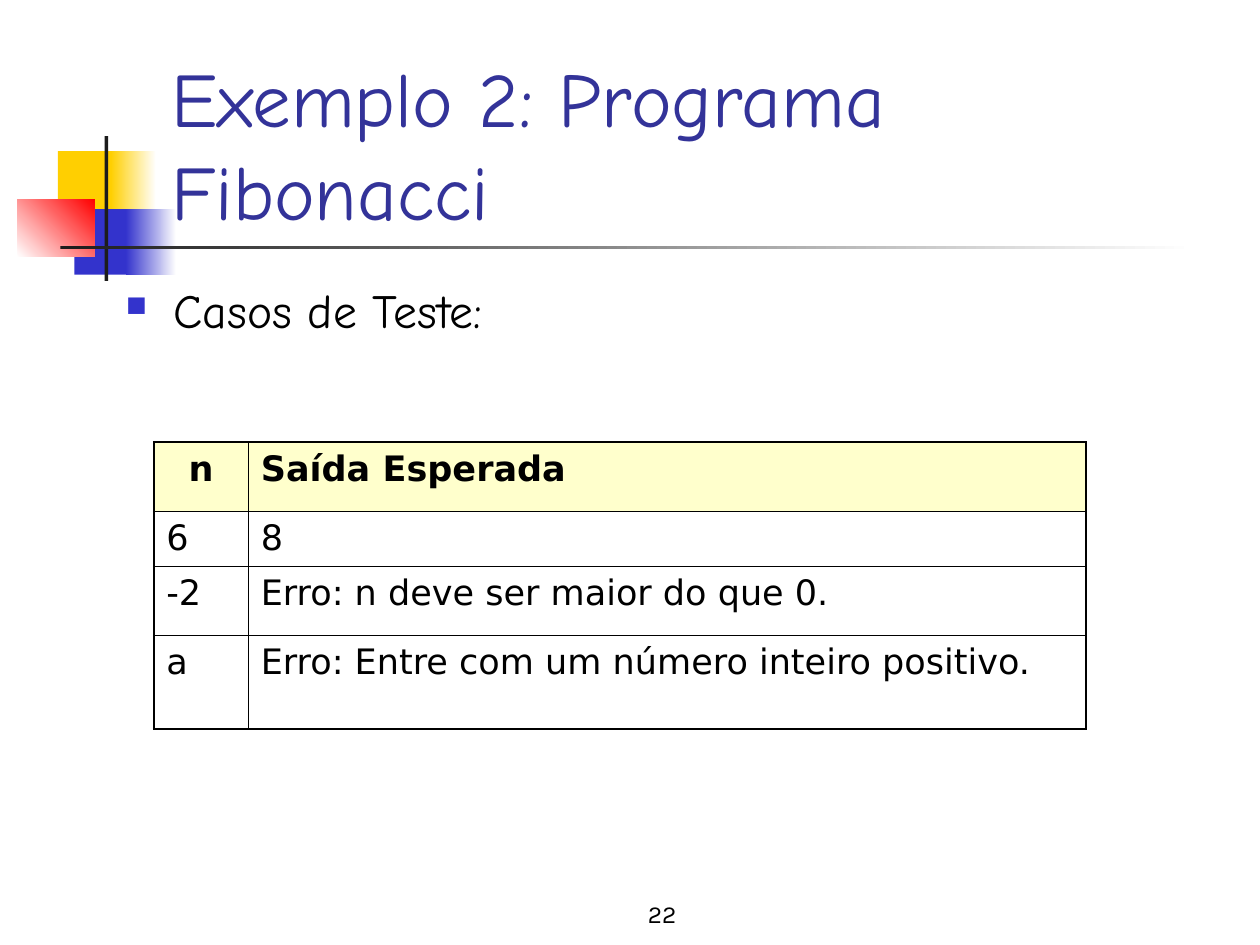
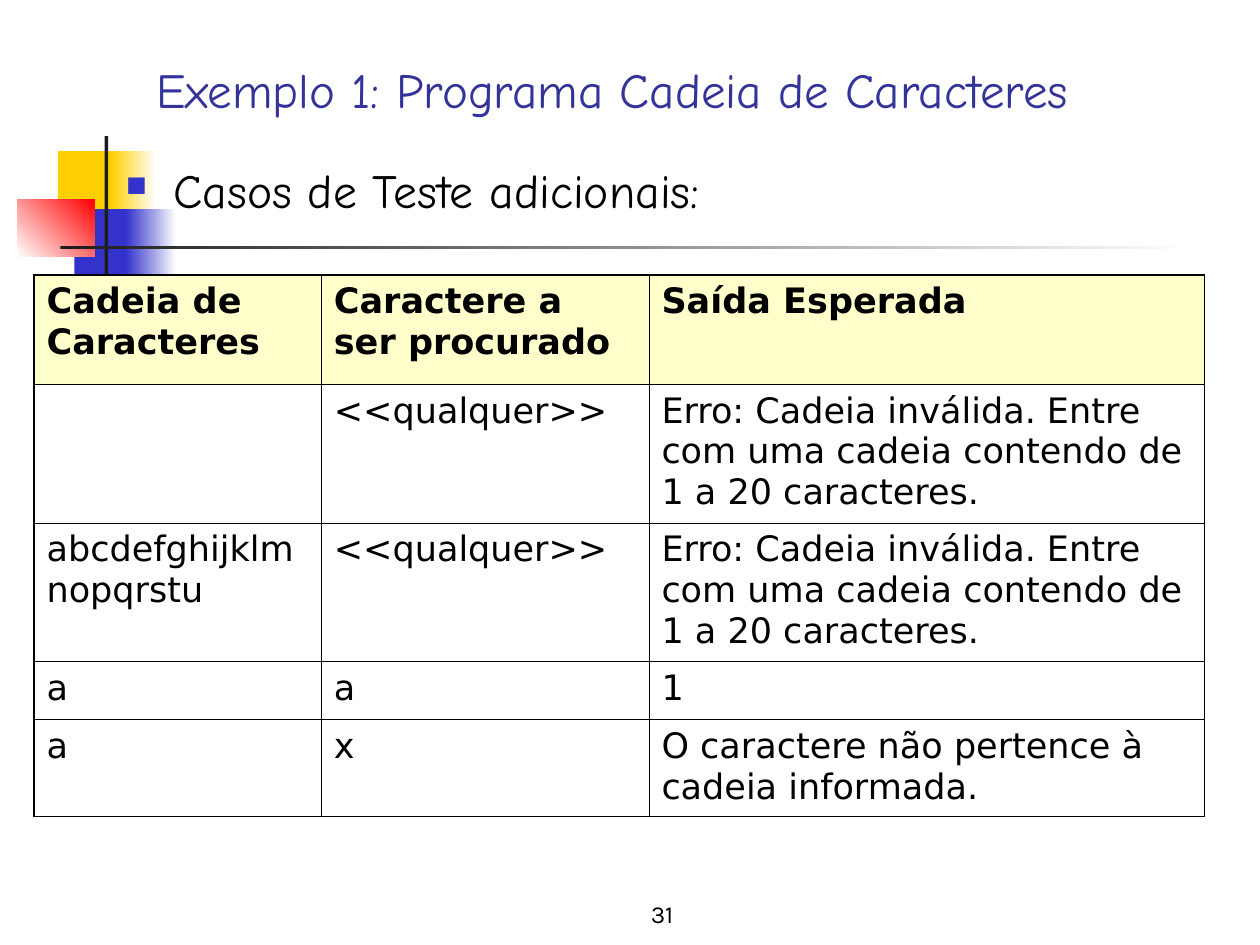
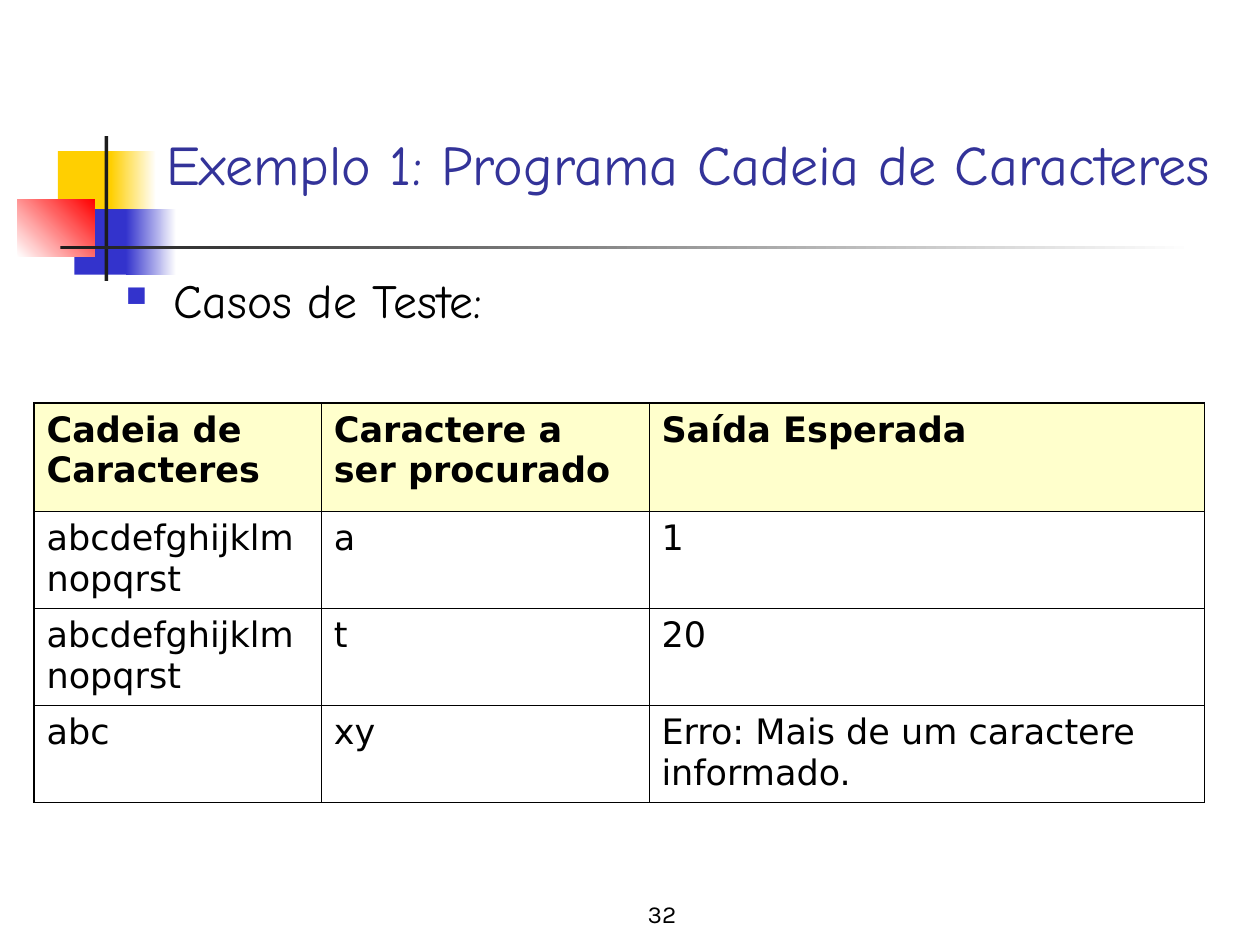
from lxml import etree
from pptx import Presentation
from pptx.dml.color import RGBColor
from pptx.enum.shapes import MSO_SHAPE
from pptx.enum.text import MSO_ANCHOR, PP_ALIGN
from pptx.oxml.ns import qn
from pptx.util import Inches, Pt

RECT = MSO_SHAPE.RECTANGLE
TOP, BOTTOM = MSO_ANCHOR.TOP, MSO_ANCHOR.BOTTOM
LEFT, CENTER = PP_ALIGN.LEFT, PP_ALIGN.CENTER

COLS, ROWS = 10, 7.5
WIDE, HIGH = Inches(COLS), Inches(ROWS)
BLACK, WHITE, DARK = "000000", "FFFFFF", "1C1C1C"
GOLD, BLUE, RED = "FFCF01", "3333CC", "FF0000"
NAVY, CREAM = "333399", "FFFFCC"
HAND, SANS, PLAIN = "Comic Neue", "DejaVu Sans", "Karla"
THIN, THICK = 0.45, 1.08

EMBLEM = (0.14, 1.08)
PARTS = [
    ((0.32, 0.12, 0.48, 0.52), [GOLD], 0),
    ((0.74, 0.12, 0.36, 0.52), [GOLD, WHITE], 0),
    ((0.45, 0.58, 0.46, 0.52), [BLUE], 0),
    ((0.86, 0.58, 0.4, 0.52), [BLUE, WHITE], 0),
    ((0, 0.5, 0.61, 0.46), [WHITE, RED], 45),
    ((0.69, 0, 0.03, 1.15), [DARK], 0),
    ((0.34, 0.87, 9, 0.03), [DARK, WHITE], 0),
]
FOOTER = (3.67, 6.92, 3.17, 0.5)
CHAIN = [2.28, 2.6, 4.41]
HEADS = ["Cadeia de Caracteres", "Caractere a ser procurado", "Saída Esperada"]
CHAIN_TITLE = "Exemplo 1: Programa Cadeia de Caracteres"
INVALID = "Erro: Cadeia inválida. Entre com uma cadeia contendo de 1 a 20 caracteres."

SLIDES = [
    {
        "page": "22",
        "title": ("Exemplo 2: Programa Fibonacci", 44, (1.26, 0.67, 8.52, 1.25)),
        "body": ("Casos de Teste:", 2.18),
        "spot": (1.22, 3.51),
        "cols": [0.75, 6.65],
        "rows": [0.55, 0.43, 0.55, 0.74],
        "cells": [
            ["n", "Saída Esperada"],
            ["6", "8"],
            ["-2", "Erro: n deve ser maior do que 0."],
            ["a", "Erro: Entre com um número inteiro positivo."],
        ],
        "mid": True,
    },
    {
        "page": "31",
        "title": (CHAIN_TITLE, 28, (1.14, 0.36, 8.52, 0.63)),
        "body": ("Casos de Teste adicionais:", 1.23),
        "spot": (0.27, 2.18),
        "cols": CHAIN,
        "rows": [0.87, 1.1, 1.1, 0.46, 0.77],
        "cells": [
            HEADS,
            ["", "<<qualquer>>", INVALID],
            ["abcdefghijklmnopqrstu", "<<qualquer>>", INVALID],
            ["a", "a", "1"],
            ["a", "x", "O caractere não pertence à cadeia informada."],
        ],
        "mid": False,
    },
    {
        "page": "32",
        "title": (CHAIN_TITLE, 32, (1.22, 0.36, 8.52, 1.25)),
        "body": ("Casos de Teste:", 2.1),
        "spot": (0.27, 3.2),
        "cols": CHAIN,
        "rows": [0.86, 0.77, 0.77, 0.77],
        "cells": [
            HEADS,
            ["abcdefghijklmnopqrst", "a", "1"],
            ["abcdefghijklmnopqrst", "t", "20"],
            ["abc", "xy", "Erro: Mais de um caractere informado."],
        ],
        "mid": False,
    },
]


def tint(code):
    """Turn a hex string into a colour."""
    return RGBColor.from_string(code)


def place(box):
    """Turn a box in grid columns and rows into slide lengths."""
    x, y, w, h = box
    return [int(WIDE * x / COLS), int(HIGH * y / ROWS),
            int(WIDE * w / COLS), int(HIGH * h / ROWS)]


def style(para, face, size, code, bold=False, align=LEFT):
    """Set the font and alignment of a paragraph."""
    para.alignment = align
    font = para.font
    font.name, font.size, font.bold = face, Pt(size), bold
    font.color.rgb = tint(code)


def write(slide, text, box, anchor):
    """Add a wrapped text box and return its paragraph."""
    frame = slide.shapes.add_textbox(*place(box)).text_frame
    frame.word_wrap = True
    frame.vertical_anchor = anchor
    frame.text = text
    return frame.paragraphs[0]


def bullet(para):
    """Give a paragraph a hanging square bullet."""
    props = para._p.get_or_add_pPr()
    props.set("marL", str(Inches(0.38)))
    props.set("indent", str(-Inches(0.38)))
    hue = etree.SubElement(props, qn("a:buClr"))
    etree.SubElement(hue, qn("a:srgbClr"), val=BLUE)
    etree.SubElement(props, qn("a:buSzPct"), val="60000")
    etree.SubElement(props, qn("a:buChar"), char="■")


def emblem(slide, spot):
    """Draw the coloured squares and the crossing bars."""
    left, top = spot
    for (x, y, w, h), hues, angle in PARTS:
        part = slide.shapes.add_shape(RECT, *place((left + x, top + y, w, h)))
        part.shadow.inherit = False
        part.line.fill.background()
        if len(hues) == 1:
            part.fill.solid()
            part.fill.fore_color.rgb = tint(hues[0])
            continue
        part.fill.gradient()
        part.fill.gradient_angle = angle
        for stop, hue in zip(part.fill.gradient_stops, hues):
            stop.color.rgb = tint(hue)


def border(cell, sides):
    """Draw the cell borders, given as side and width pairs."""
    props = cell._tc.get_or_add_tcPr()
    for side, width in sides:
        line = etree.SubElement(props, qn("a:ln" + side), w=str(Pt(width)))
        fill = etree.SubElement(line, qn("a:solidFill"))
        etree.SubElement(fill, qn("a:srgbClr"), val=BLACK)


def cases(slide, spot, cols, rows, cells, mid):
    """Add the table of test cases with a thicker outer border."""
    box = (*spot, sum(cols), sum(rows))
    table = slide.shapes.add_table(len(rows), len(cols), *place(box)).table
    table.first_row = table.horz_banding = False
    for col, width in zip(table.columns, cols):
        col.width = Inches(width)
    for row, height in zip(table.rows, rows):
        row.height = Inches(height)
    for r, line in enumerate(cells):
        for c, text in enumerate(line):
            cell = table.cell(r, c)
            edges = [("L", c == 0), ("R", c == len(cols) - 1),
                     ("T", r == 0), ("B", r == len(rows) - 1)]
            border(cell, [(side, THICK if outer else THIN)
                          for side, outer in edges])
            head = r == 0
            if head:
                cell.fill.solid()
                cell.fill.fore_color.rgb = tint(CREAM)
            else:
                cell.fill.background()
            cell.text = text
            align = CENTER if mid and head and c == 0 else LEFT
            style(cell.text_frame.paragraphs[0], SANS, 20, BLACK, head, align)


def page(deck, data):
    """Build one slide of test cases."""
    slide = deck.slides.add_slide(deck.slide_layouts[6])
    emblem(slide, EMBLEM)
    style(write(slide, data["page"], FOOTER, BOTTOM), PLAIN, 14, BLACK, align=CENTER)
    text, size, box = data["title"]
    style(write(slide, text, box, BOTTOM), HAND, size, NAVY)
    text, top = data["body"]
    para = write(slide, text, (0.9, top, 8.1, 0.59), TOP)
    bullet(para)
    style(para, HAND, 27.2, BLACK)
    cases(slide, data["spot"], data["cols"], data["rows"], data["cells"], data["mid"])


def main():
    """Build and save the deck."""
    deck = Presentation()
    deck.slide_width, deck.slide_height = WIDE, HIGH
    for data in SLIDES:
        page(deck, data)
    deck.save("out.pptx")


if __name__ == "__main__":
    main()
